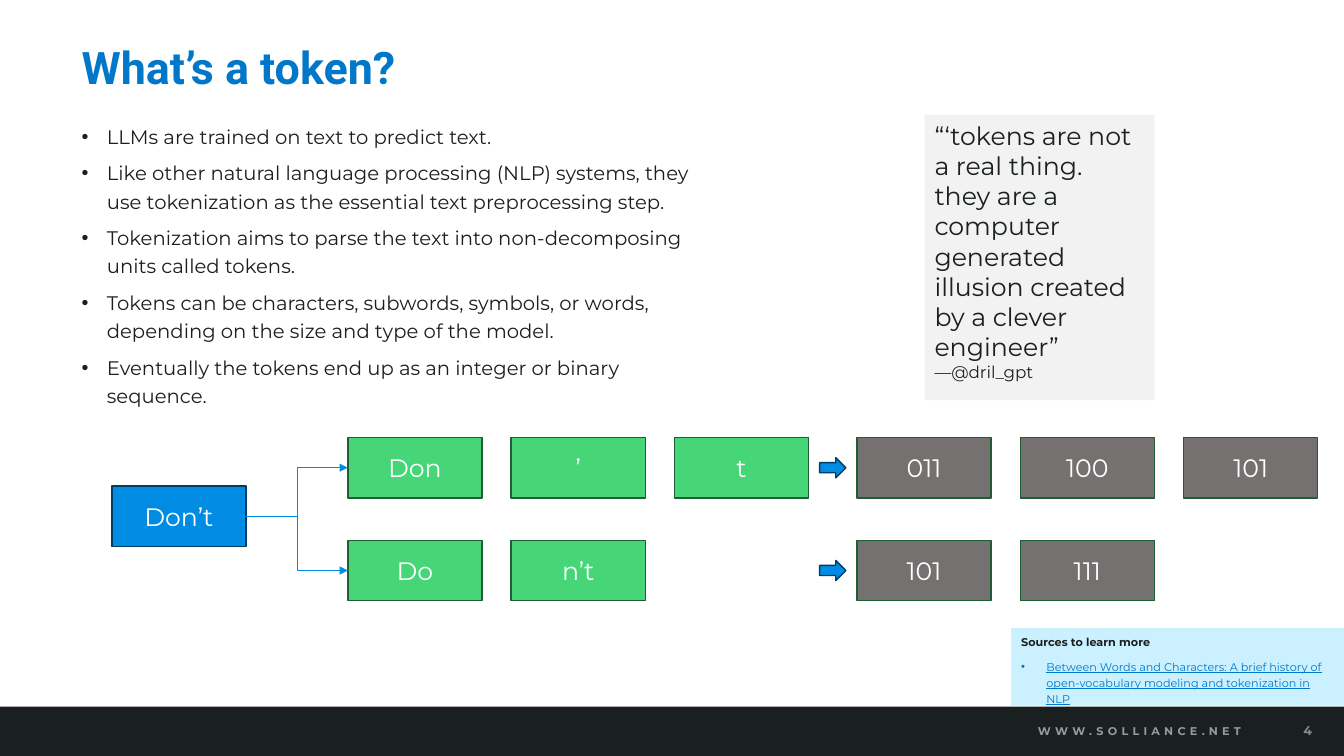
from lxml.etree import SubElement
from pptx import Presentation
from pptx.dml.color import RGBColor
from pptx.enum.shapes import MSO_CONNECTOR as CONNECTOR, MSO_SHAPE as SHAPE
from pptx.enum.text import MSO_ANCHOR as ANCHOR, MSO_AUTO_SIZE as FIT, PP_ALIGN as ALIGN
from pptx.oxml.ns import qn
from pptx.util import Inches, Pt

INK = RGBColor(0x1A, 0x1F, 0x20)
TITLE_BLUE = RGBColor(0x00, 0x77, 0xC8)
BLUE = RGBColor(0x00, 0x8C, 0xE2)
NAVY = RGBColor(0x00, 0x3D, 0x63)
GREEN = RGBColor(0x46, 0xD5, 0x77)
DARK_GREEN = RGBColor(0x1F, 0x5D, 0x34)
GRAY = RGBColor(0x76, 0x71, 0x71)
QUOTE_GRAY = RGBColor(0xF2, 0xF2, 0xF2)
PALE_BLUE = RGBColor(0xCB, 0xF0, 0xFF)
ADDRESS_GRAY = RGBColor(0x99, 0x9A, 0x9A)
NUMBER_GRAY = RGBColor(0x87, 0x88, 0x88)
WHITE = RGBColor(0xFF, 0xFF, 0xFF)


def write(box, text, size=18, color=INK, font="Montserrat", bold=False, underline=False,
          align=ALIGN.LEFT, line=1.0, before=0, bullet=False, tracking=0):
    frame = box.text_frame
    frame.word_wrap = True
    para = frame.add_paragraph() if frame.text else frame.paragraphs[0]
    para.alignment = align
    para.line_spacing = line
    para.space_before = Pt(before)
    if bullet:
        props = para._p.get_or_add_pPr()
        props.set("marL", str(Inches(0.25)))
        props.set("indent", str(-Inches(0.25)))
        SubElement(props, qn("a:buFont"), typeface="Arial")
        SubElement(props, qn("a:buChar"), char="•")
    span = para.add_run()
    span.text = text
    span.font.name = font
    span.font.size = Pt(size)
    span.font.bold = bold
    span.font.underline = underline
    span.font.color.rgb = color
    if tracking:
        span._r.rPr.set("spc", str(tracking * 100))


def add_block(left, top, width, height, fill, outline=None, kind=SHAPE.RECTANGLE,
              anchor=ANCHOR.TOP):
    block = page.shapes.add_shape(kind, Inches(left), Inches(top), Inches(width), Inches(height))
    block.shadow.inherit = False
    block.fill.solid()
    block.fill.fore_color.rgb = fill
    if outline is None:
        block.line.fill.background()
    else:
        block.line.color.rgb = outline
        block.line.width = Pt(1)
    block.text_frame.vertical_anchor = anchor
    return block


deck = Presentation()
deck.slide_width, deck.slide_height = Inches(13.33), Inches(7.5)
page = deck.slides.add_slide(deck.slide_layouts[1])

add_block(0, 7.01, 13.33, 0.49, INK)

title = page.shapes.title
title.left, title.top, title.width, title.height = map(Inches, (0.71, 0.38, 11.96, 0.62))
title.text_frame.vertical_anchor = ANCHOR.MIDDLE
title.text_frame.auto_size = FIT.NONE
write(title, "What’s a token?", size=32, color=TITLE_BLUE, font="Roboto", bold=True, line=0.9)

footer = [
    ("WWW.SOLLIANCE.NET", 7.91, 4.5,
     dict(size=8, color=ADDRESS_GRAY, align=ALIGN.RIGHT, tracking=3)),
    ("4", 12.73, 0.48, dict(size=9, color=NUMBER_GRAY, align=ALIGN.CENTER)),
]
for text, left, width, style in footer:
    label = page.shapes.add_textbox(Inches(left), Inches(7.07), Inches(width), Inches(0.36))
    label.text_frame.vertical_anchor = ANCHOR.MIDDLE
    write(label, text, bold=True, **style)

body = page.placeholders[1]
body.left, body.top, body.width, body.height = map(Inches, (0.71, 1.14, 6.56, 5.36))
body.text_frame.auto_size = FIT.NONE
points = [
    "LLMs are trained on text to predict text.",
    "Like other natural language processing (NLP) systems, they use tokenization as the "
    "essential text preprocessing step.",
    "Tokenization aims to parse the text into non-decomposing units called tokens.",
    "Tokens can be characters, subwords, symbols, or words, depending on the size and type "
    "of the model.",
    "Eventually the tokens end up as an integer or binary sequence.",
]
for index, point in enumerate(points):
    write(body, point, size=14, line=1.2, before=6 if index else 0, bullet=True)

quote = add_block(9.17, 1.14, 2.28, 2.83, QUOTE_GRAY)
write(quote, "“‘tokens are not a real thing. they are a computer generated illusion created "
             "by a clever engineer”")
write(quote, "—@dril_gpt", size=12)

word = add_block(1.11, 4.82, 1.33, 0.6, BLUE, NAVY, anchor=ANCHOR.MIDDLE)
write(word, "Don’t", color=WHITE, align=ALIGN.CENTER)

rows = [
    (4.34, ["Don", "’", "t"], ["011", "100", "101"]),
    (5.36, ["Do", "n’t"], ["101", "111"]),
]
for top, tokens, codes in rows:
    row_boxes = []
    for start, labels, fill in ((3.45, tokens, GREEN), (8.5, codes, GRAY)):
        for column, text in enumerate(labels):
            cell = add_block(start + 1.62 * column, top, 1.33, 0.6, fill, DARK_GREEN,
                             anchor=ANCHOR.MIDDLE)
            write(cell, text, color=WHITE, align=ALIGN.CENTER)
            row_boxes.append(cell)
    add_block(8.13, top + 0.2, 0.26, 0.2, BLUE, NAVY, kind=SHAPE.RIGHT_ARROW)

    branch = page.shapes.add_connector(CONNECTOR.ELBOW, 0, 0, 0, 0)
    branch.begin_connect(word, 3)
    branch.end_connect(row_boxes[0], 1)
    branch.line.color.rgb = BLUE
    branch.line.width = Pt(0.5)
    branch_props = branch._element.spPr
    SubElement(branch_props.find(qn("a:ln")), qn("a:tailEnd"), type="triangle")
    SubElement(branch_props, qn("a:effectLst"))

sources = add_block(10.03, 6.23, 3.3, 0.77, PALE_BLUE)
write(sources, "Sources to learn more", size=8, bold=True, line=1.2)
write(sources, "Between Words and Characters: A brief history of open-vocabulary modeling "
               "and tokenization in NLP",
      size=8, color=TITLE_BLUE, underline=True, line=1.2, before=6, bullet=True)

deck.save("out.pptx")
